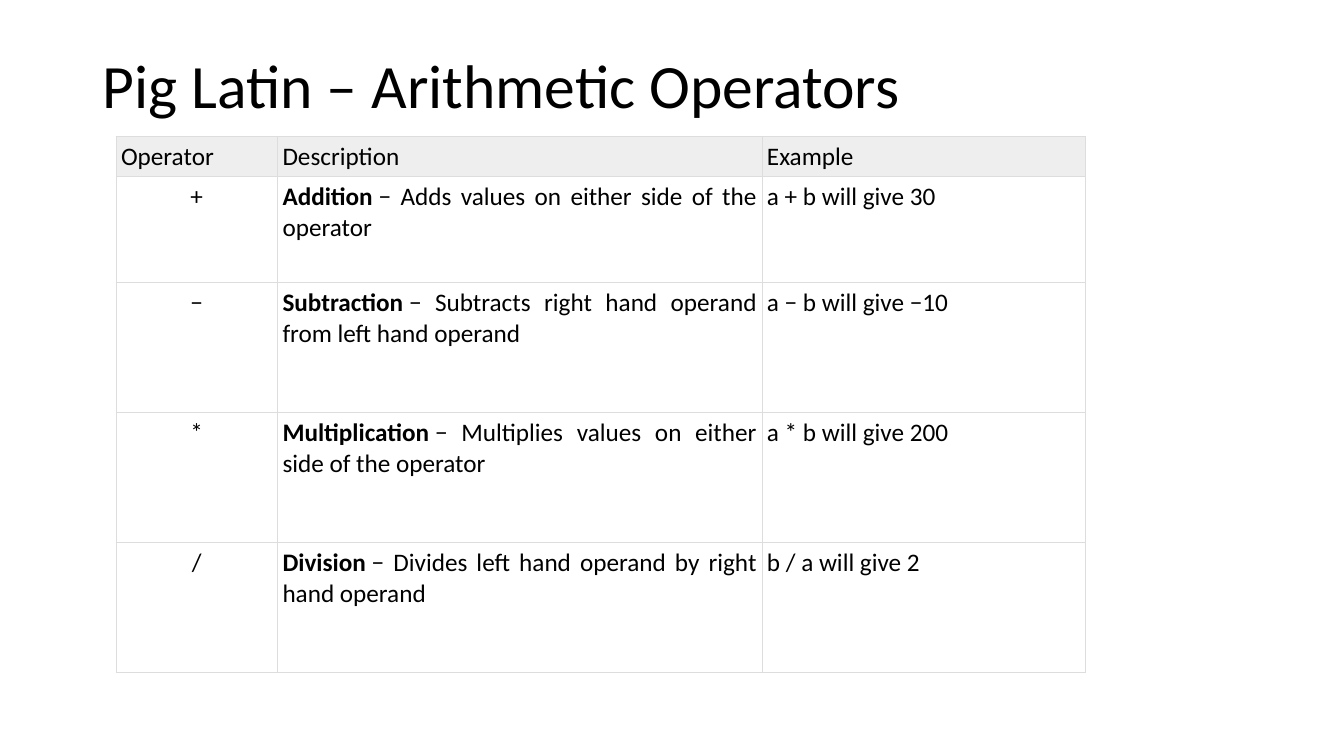
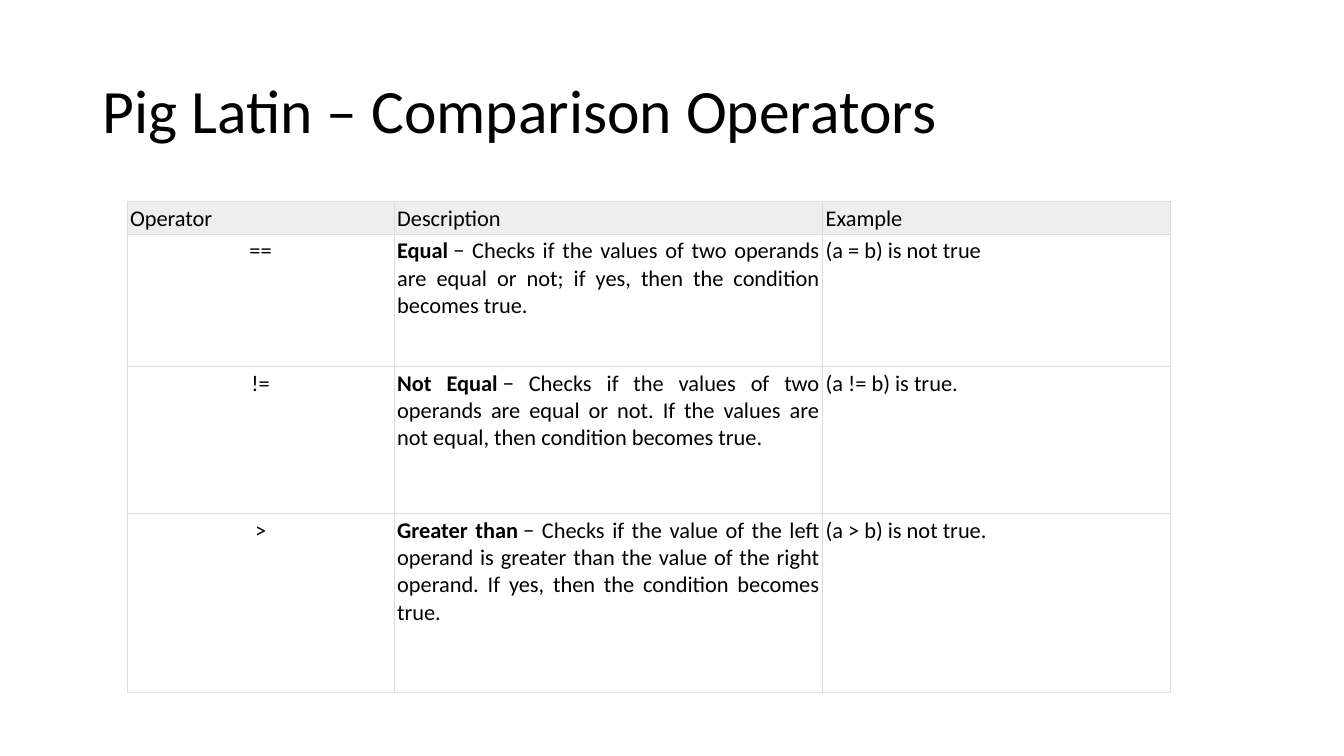
from dataclasses import dataclass

import lxml.etree
import pptx
import pptx.dml.color
import pptx.enum.text
import pptx.oxml.ns
import pptx.util

# Shared style
FONT = "Calibri"
INK = pptx.dml.color.RGBColor(0x00, 0x00, 0x00)
HEADER_FILL = pptx.dml.color.RGBColor(0xEE, 0xEE, 0xEE)
RULE = pptx.dml.color.RGBColor(0xDD, 0xDD, 0xDD)
RULE_WIDTH = pptx.util.Pt(0.6)
TITLE_SIZE = 44
TITLE_LEFT, TITLE_TOP, TITLE_WIDTH = 6.9, 5.33, 86.25
HEADINGS = ("Operator", "Description", "Example")
ALIGN = pptx.enum.text.PP_ALIGN
BODY_ALIGNMENTS = (ALIGN.CENTER, ALIGN.JUSTIFY, ALIGN.LEFT)

deck = pptx.Presentation()
deck.slide_width = pptx.util.Inches(13.33)
deck.slide_height = pptx.util.Inches(7.5)


@dataclass(frozen=True)
class Operator:
    symbol: str
    term: str
    meaning: str
    example: str
    height: float


@dataclass(frozen=True)
class OperatorSlide:
    """Positions and heights are percentages of the slide's size."""
    title: str
    title_height: float
    left: float
    top: float
    width: float
    column_weights: tuple[float, ...]
    header_height: float
    text_size: int
    inset: float
    operators: tuple[Operator, ...]


def across(percent: float) -> int:
    return round(deck.slide_width * percent / 100)


def down(percent: float) -> int:
    return round(deck.slide_height * percent / 100)


def add_run(paragraph, text: str, size: int, bold: bool = False) -> None:
    run = paragraph.add_run()
    run.text = text
    run.font.name = FONT
    run.font.size = pptx.util.Pt(size)
    run.font.bold = bold
    run.font.color.rgb = INK


def add_title(slide, content: OperatorSlide) -> None:
    title = slide.shapes.add_textbox(
        across(TITLE_LEFT), down(TITLE_TOP),
        across(TITLE_WIDTH), down(content.title_height))
    title.text_frame.word_wrap = True
    title.text_frame.vertical_anchor = pptx.enum.text.MSO_ANCHOR.MIDDLE
    paragraph = title.text_frame.paragraphs[0]
    paragraph.line_spacing = 0.9
    add_run(paragraph, content.title, TITLE_SIZE)


def add_borders(cell) -> None:
    properties = cell._tc.get_or_add_tcPr()
    qn = pptx.oxml.ns.qn
    for side in ("a:lnL", "a:lnR", "a:lnT", "a:lnB"):
        line = lxml.etree.SubElement(properties, qn(side), w=str(RULE_WIDTH))
        fill = lxml.etree.SubElement(line, qn("a:solidFill"))
        lxml.etree.SubElement(fill, qn("a:srgbClr"), val=str(RULE))


def style_cell(cell, inset: float) -> None:
    margin = pptx.util.Inches(inset)
    cell.margin_left = cell.margin_right = margin
    cell.margin_top = cell.margin_bottom = margin
    add_borders(cell)
    cell.fill.background()


def add_operator_table(slide, content: OperatorSlide) -> None:
    heights = [content.header_height] + [op.height for op in content.operators]
    table = slide.shapes.add_table(
        len(heights), len(HEADINGS), across(content.left), down(content.top),
        across(content.width), down(sum(heights))).table
    table.first_row = table.horz_banding = False

    # Grid
    total_weight = sum(content.column_weights)
    for column, weight in zip(table.columns, content.column_weights):
        column.width = across(content.width * weight / total_weight)
    for row, height in zip(table.rows, heights):
        row.height = down(height)
    for cell in table.iter_cells():
        style_cell(cell, content.inset)

    # Header row
    for heading, cell in zip(HEADINGS, table.rows[0].cells):
        cell.fill.solid()
        cell.fill.fore_color.rgb = HEADER_FILL
        add_run(cell.text_frame.paragraphs[0], heading, content.text_size)

    # One row per operator
    for number, op in enumerate(content.operators, start=1):
        paragraphs = [cell.text_frame.paragraphs[0]
                      for cell in table.rows[number].cells]
        for paragraph, alignment in zip(paragraphs, BODY_ALIGNMENTS):
            paragraph.alignment = alignment
        symbol, description, example = paragraphs
        add_run(symbol, op.symbol, content.text_size)
        add_run(description, op.term, content.text_size, bold=True)
        add_run(description, f"\u00a0− {op.meaning}", content.text_size)
        add_run(example, op.example, content.text_size)


# Content
ARITHMETIC = OperatorSlide(
    title="Pig Latin – Arithmetic Operators", title_height=12.67,
    left=8.63, top=18, width=72.09, column_weights=(1, 3, 2),
    header_height=4.67, text_size=18, inset=0.05,
    operators=(
        Operator("+", "Addition", "Adds values on either side of the operator",
                 "a + b will give 30", 14),
        Operator("−", "Subtraction",
                 "Subtracts right hand operand from left hand operand",
                 "a − b will give −10", 17.2),
        Operator("*", "Multiplication",
                 "Multiplies values on either side of the operator",
                 "a * b will give 200", 17.2),
        Operator("/", "Division",
                 "Divides left hand operand by right hand operand",
                 "b / a will give 2", 17.2),
    ))

COMPARISON = OperatorSlide(
    title="Pig Latin – Comparison Operators", title_height=19.33,
    left=9.45, top=26.67, width=77.64, column_weights=(2.65, 4.25, 3.45),
    header_height=2.93, text_size=16, inset=0.03,
    operators=(
        Operator("==", "Equal",
                 "Checks if the values of two operands are equal or not; "
                 "if yes, then the condition becomes true.",
                 "(a = b) is not true", 17.47),
        Operator("!=", "Not Equal",
                 "Checks if the values of two operands are equal or not. "
                 "If the values are not equal, then condition becomes true.",
                 "(a != b) is true.", 19.47),
        Operator(">", "Greater than",
                 "Checks if the value of the left operand is greater than "
                 "the value of the right operand. If yes, then the condition "
                 "becomes true.",
                 "(a > b) is not true.", 23.6),
    ))

# Slides
blank_layout = deck.slide_layouts[6]
for operator_slide in (ARITHMETIC, COMPARISON):
    page = deck.slides.add_slide(blank_layout)
    add_title(page, operator_slide)
    add_operator_table(page, operator_slide)

deck.save("out.pptx")
